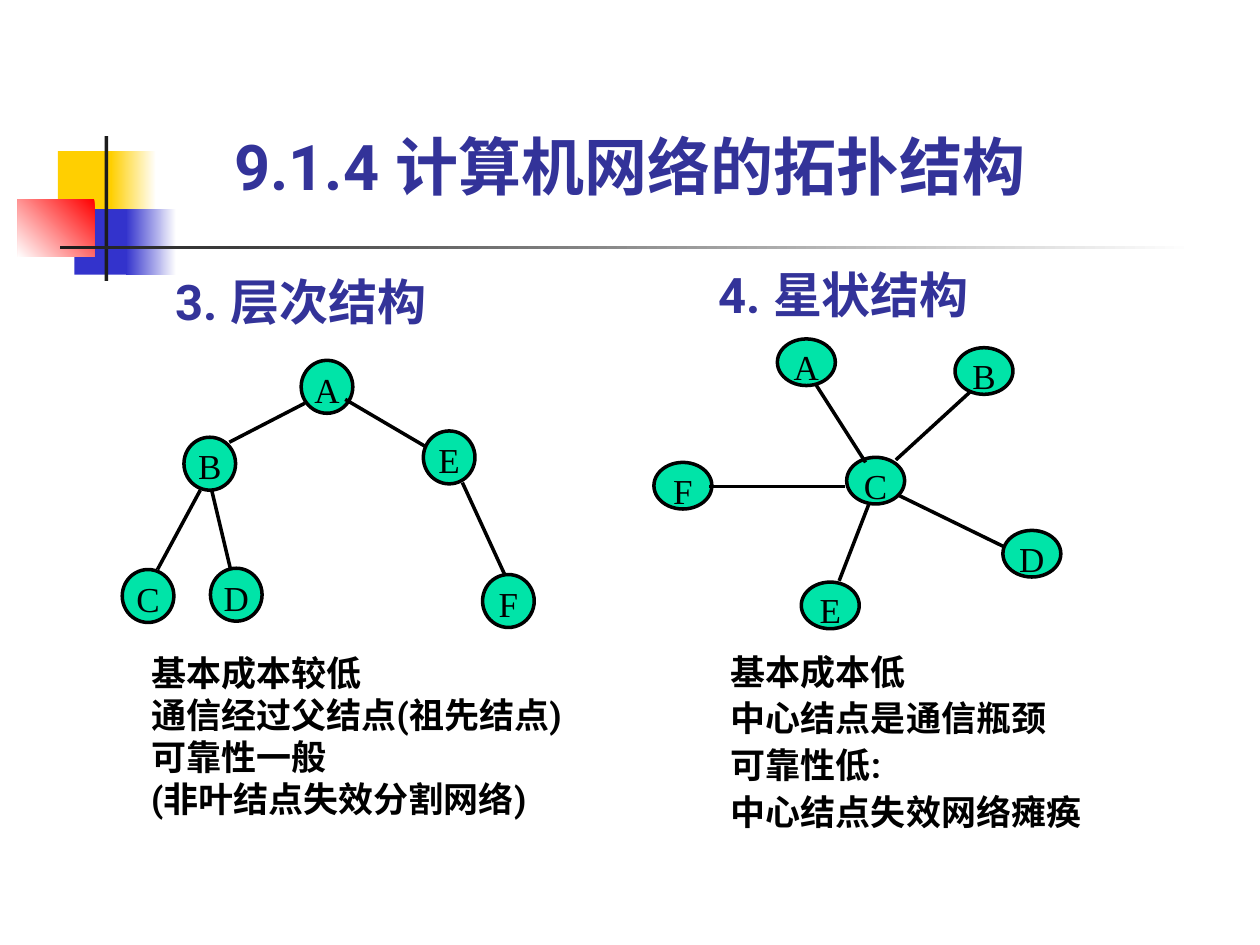
from dataclasses import dataclass

from pptx import Presentation
from pptx.dml.color import RGBColor as Color
from pptx.enum.shapes import MSO_CONNECTOR as Connector, MSO_SHAPE as Shape
from pptx.enum.text import MSO_ANCHOR as Anchor, MSO_AUTO_SIZE as AutoSize, PP_ALIGN as Align
from pptx.oxml.ns import qn
from pptx.util import Inches, Pt
from lxml.etree import SubElement

COLUMNS, ROWS = 100, 75
CELL = Inches(0.1)


@dataclass(frozen=True)
class Theme:
    heading: str = "333399"
    ink: str = "000000"
    node: str = "00E4A8"
    yellow: str = "FFCF01"
    blue: str = "3333CC"
    red: str = "FF0000"
    rule: str = "1C1C1C"
    white: str = "FFFFFF"
    latin: str = "Roboto"
    chinese: str = "Noto Sans CJK SC"
    label: str = "Times New Roman"
    title_size: int = 36
    heading_size: int = 28
    text_size: int = 20
    line_width: int = 2


THEME = Theme()


def grid(*cells):
    return [round(cell * CELL) for cell in cells]


def write(shape, *lines, size=THEME.text_size, color=THEME.ink, font=THEME.latin, bold=True,
          align=Align.LEFT, anchor=Anchor.TOP, wrap=True, spacing=1.0, before=0):
    frame = shape.text_frame
    frame.auto_size = AutoSize.NONE
    frame.word_wrap = wrap
    frame.vertical_anchor = anchor
    frame.margin_left = frame.margin_right = frame.margin_top = frame.margin_bottom = 0
    frame.text = "\n".join(lines)
    for index, paragraph in enumerate(frame.paragraphs):
        paragraph.alignment = align
        paragraph.line_spacing = spacing
        paragraph.space_before = Pt(before if index else 0)
        properties = paragraph._p.get_or_add_pPr()
        properties.set("marL", "0")
        properties.set("indent", "0")
        SubElement(properties, qn("a:buNone"))
        for run in paragraph.runs:
            run.font.size = Pt(size)
            run.font.bold = bold
            run.font.name = font
            run.font.color.rgb = Color.from_string(color)
            SubElement(run._r.get_or_add_rPr(), qn("a:ea"), typeface=THEME.chinese)


def place(shape, left, top, width, height):
    shape.left, shape.top, shape.width, shape.height = grid(left, top, width, height)


def add_text(slide, box, *lines, **style):
    write(slide.shapes.add_textbox(*grid(*box)), *lines, **style)


def add_block(slide, box, color, fade_to=None, angle=180):
    shape = slide.shapes.add_shape(Shape.RECTANGLE, *grid(*box))
    shape.shadow.inherit = False
    shape.line.fill.background()
    if fade_to is None:
        shape.fill.solid()
        shape.fill.fore_color.rgb = Color.from_string(color)
        return
    shape.fill.gradient()
    shape.fill.gradient_angle = angle
    for stop, shade in zip(shape.fill.gradient_stops, (color, fade_to)):
        stop.color.rgb = Color.from_string(shade)


def add_node(slide, label, left, top, size):
    shape = slide.shapes.add_shape(Shape.OVAL, *grid(left, top, *size))
    shape.shadow.inherit = False
    shape.fill.solid()
    shape.fill.fore_color.rgb = Color.from_string(THEME.node)
    shape.line.color.rgb = Color.from_string(THEME.ink)
    shape.line.width = Pt(THEME.line_width)
    write(shape, label, font=THEME.label, bold=False, align=Align.CENTER)


def add_link(slide, *ends):
    link = slide.shapes.add_connector(Connector.STRAIGHT, *grid(*ends))
    link.line.color.rgb = Color.from_string(THEME.ink)
    link.line.width = Pt(THEME.line_width)
    SubElement(link._element.spPr, qn("a:effectLst"))


def add_topology(slide, node_size, nodes, links):
    for label, (left, top) in nodes.items():
        add_node(slide, label, left, top, node_size)
    for ends in links:
        add_link(slide, *ends)


def add_ornament(slide):
    add_block(slide, (4.6, 12, 4.8, 5.2), THEME.yellow)
    add_block(slide, (8.8, 12, 3.6, 5.2), THEME.white, THEME.yellow)
    add_block(slide, (5.9, 16.6, 4.6, 5.2), THEME.blue)
    add_block(slide, (10, 16.6, 4, 5.2), THEME.white, THEME.blue)
    add_block(slide, (1.4, 15.8, 6.1, 4.6), THEME.red, THEME.white, angle=225)
    add_block(slide, (8.3, 10.8, 0.3, 11.5), THEME.rule)
    add_block(slide, (4.8, 19.5, 90, 0.3), THEME.white, THEME.rule)


def main():
    presentation = Presentation()
    presentation.slide_width, presentation.slide_height = grid(COLUMNS, ROWS)
    slide = presentation.slides.add_slide(presentation.slide_layouts[1])
    add_ornament(slide)

    title, body = slide.placeholders
    place(title, 18.6, 10.2, 68.3, 5.9)
    write(title, "9.1.4 计算机网络的拓扑结构", size=THEME.title_size, color=THEME.heading,
          anchor=Anchor.BOTTOM, spacing=0.8)

    heading = dict(size=THEME.heading_size, color=THEME.heading,
                   align=Align.CENTER, anchor=Anchor.MIDDLE)
    add_text(slide, (9.6, 21, 28.6, 5.7), "3. 层次结构", **heading)
    add_text(slide, (54.7, 21, 24.5, 4.7), "4. 星状结构", **heading)

    add_topology(
        slide, (4.1, 4.2),
        {"A": (23.9, 28.6), "B": (14.6, 34.7), "C": (9.7, 45.2),
         "D": (16.7, 45.1), "E": (33.6, 34.2), "F": (38.3, 45.6)},
        [(33.7, 35.4, 27.4, 31.7), (24.2, 32, 18.2, 35.1), (18.3, 45.2, 16.8, 38.9),
         (36.7, 38.3, 40.1, 45.7), (12.5, 45.2, 15.9, 38.9)])
    add_topology(
        slide, (4.6, 3.7),
        {"A": (61.7, 26.9), "B": (75.8, 27.6), "C": (67.2, 36.3),
         "D": (79.6, 42.1), "E": (63.6, 46.2), "F": (51.9, 36.7)},
        [(67.1, 38.6, 56.3, 38.6), (69, 39.9, 66.6, 46.1), (64.8, 30.6, 68.7, 36.7),
         (71.3, 39.3, 79.7, 43.4), (71.1, 36.5, 77, 31.1)])

    place(body, 12, 51.7, 35.7, 14.7)
    write(body, "基本成本较低", "通信经过父结点(祖先结点)", "可靠性一般", "(非叶结点失效分割网络)")
    add_text(slide, (58, 52, 30.9, 14.1), "基本成本低", "中心结点是通信瓶颈", "可靠性低:",
             "中心结点失效网络瘫痪", spacing=0.9, before=5)
    presentation.save("out.pptx")


if __name__ == "__main__":
    main()
